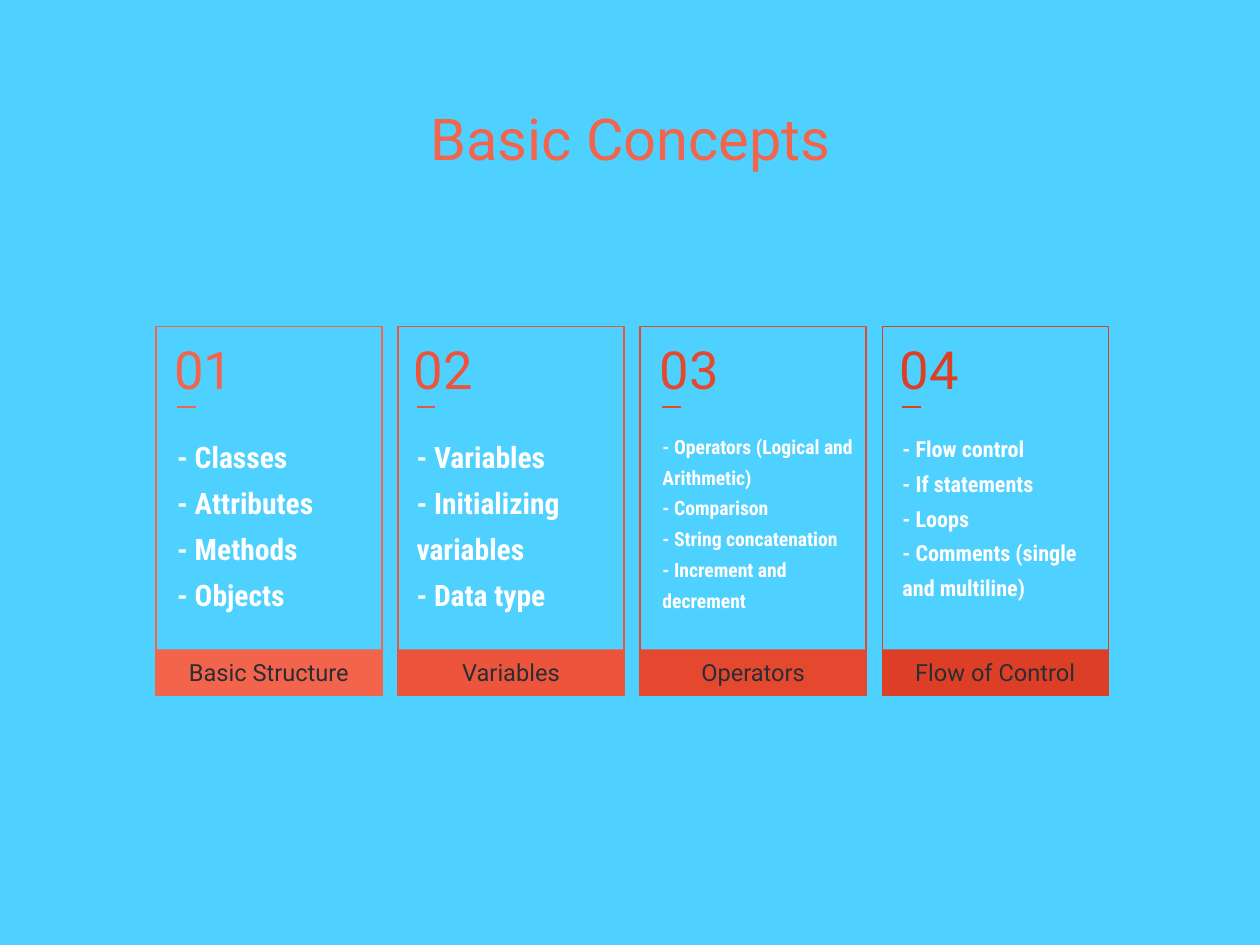
from pptx import Presentation
from pptx import util as u
from pptx.dml.color import RGBColor
from pptx.enum import shapes, text
from pptx.oxml.ns import qn
from lxml import etree

COLORS = {
    "sky": "4FD1FF", "white": "FFFFFF", "ink": "2A2D34",
    "coral": "F3644D", "tomato": "EC553C", "red": "E4492F", "brick": "DC3F25",
}

CONCEPTS = [
    ("Basic Structure", "coral", 24, 0.61,
     ["- Classes", "- Attributes", "- Methods", "- Objects"]),
    ("Variables", "tomato", 24, 0.53,
     ["- Variables", "- Initializing variables", "- Data type"]),
    ("Operators", "red", 16, 0.64,
     ["- Operators (Logical and Arithmetic)", "- Comparison",
      "- String concatenation", "- Increment and decrement"]),
    ("Flow of Control", "brick", 18, 0.58,
     ["- Flow control", "- If statements", "- Loops",
      "- Comments (single and multiline)"]),
]


def rgb(name):
    """Return the named colour."""
    return RGBColor.from_string(COLORS[name])


def place(part, left, top, width, height):
    """Move a placeholder to a box given in centimetres."""
    part.left, part.top = u.Cm(left), u.Cm(top)
    part.width, part.height = u.Cm(width), u.Cm(height)


def write(frame, words, size, color, align, spacing, font="Roboto", bold=False):
    """Fill a text frame and format its paragraphs and runs."""
    frame.text = words
    frame.word_wrap = True
    frame.auto_size = text.MSO_AUTO_SIZE.NONE
    for paragraph in frame.paragraphs:
        paragraph.alignment = align
        paragraph.line_spacing = spacing
        paragraph.space_before = u.Pt(0)
        for run in paragraph.runs:
            run.font.name, run.font.size, run.font.bold = font, u.Pt(size), bold
            run.font.color.rgb = rgb(color)


def add_heading(title, left, top, width, height):
    """Place the slide title in its box."""
    place(title, left, top, width, height)
    frame = title.text_frame
    frame.margin_left = frame.margin_right = frame.margin_top = frame.margin_bottom = 0
    frame.vertical_anchor = text.MSO_ANCHOR.MIDDLE
    write(frame, "Basic Concepts", 46.9, "coral", text.PP_ALIGN.CENTER, 0.9)


def add_topics(topics, lines, size, left, top, width, height):
    """Place a list of topics without bullets or indents."""
    place(topics, left, top, width, height)
    frame = topics.text_frame
    frame.margin_left = frame.margin_right = 0
    frame.margin_top = frame.margin_bottom = u.Cm(0.13)
    frame.vertical_anchor = text.MSO_ANCHOR.TOP
    write(frame, "\n".join(lines), size, "white", text.PP_ALIGN.LEFT, 1.3,
          "Roboto Condensed", True)
    for paragraph in frame.paragraphs:
        properties = paragraph._p.get_or_add_pPr()
        properties.set("marL", "0")
        properties.set("indent", "0")
        etree.SubElement(properties, qn("a:buNone"))


def add_card(slide, topics, number, concept, left, top, width, height):
    """Draw one numbered concept card in its box."""
    label, color, size, inset, lines = concept
    band_height = 1.32
    text_left = left + inset

    border = slide.shapes.add_shape(shapes.MSO_SHAPE.RECTANGLE, u.Cm(left), u.Cm(top),
                                    u.Cm(width), u.Cm(height))
    border.shadow.inherit = False
    border.fill.background()
    border.line.color.rgb = rgb(color)
    border.line.width = u.Pt(1)

    band = slide.shapes.add_shape(shapes.MSO_SHAPE.RECTANGLE, u.Cm(left),
                                  u.Cm(top + height - band_height),
                                  u.Cm(width), u.Cm(band_height))
    band.shadow.inherit = False
    band.fill.solid()
    band.fill.fore_color.rgb = rgb(color)
    band.line.fill.background()
    band.text_frame.vertical_anchor = text.MSO_ANCHOR.MIDDLE
    write(band.text_frame, label, 19.2, "ink", text.PP_ALIGN.CENTER, 1.0)

    add_topics(topics, lines, size, text_left, top + 2.77, 5.46, 5.59)

    numeral = slide.shapes.add_textbox(u.Cm(text_left - 0.33), u.Cm(top + 1.14),
                                       u.Cm(2.87), u.Cm(1.07))
    write(numeral.text_frame, f"{number:02d}", 42.7, color, text.PP_ALIGN.LEFT, u.Pt(23.5))

    dash_y = u.Cm(top + 2.29)
    dash = slide.shapes.add_connector(shapes.MSO_CONNECTOR.STRAIGHT, u.Cm(text_left + 0.53),
                                      dash_y, u.Cm(text_left), dash_y)
    dash.line.color.rgb = rgb(color)
    dash.line.width = u.Pt(1.5)
    etree.SubElement(dash._element.spPr, qn("a:effectLst"))


def add_concepts_slide(deck):
    """Build the slide with its title and a row of concept cards."""
    slide = deck.slides.add_slide(deck.slide_layouts.get_by_name("Comparison"))
    slide.background.fill.solid()
    slide.background.fill.fore_color.rgb = rgb("sky")
    add_heading(slide.shapes.title, 2.72, 2.44, 30.71, 3.23)
    for i, concept in enumerate(CONCEPTS):
        add_card(slide, slide.placeholders[i + 1], i + 1, concept,
                 4.47 + i * 6.94, 9.37, 6.48, 10.57)


def main():
    """Create the deck and save it."""
    deck = Presentation()
    deck.slide_width, deck.slide_height = u.Cm(36.12), u.Cm(27.1)
    add_concepts_slide(deck)
    deck.save("out.pptx")


if __name__ == "__main__":
    main()
